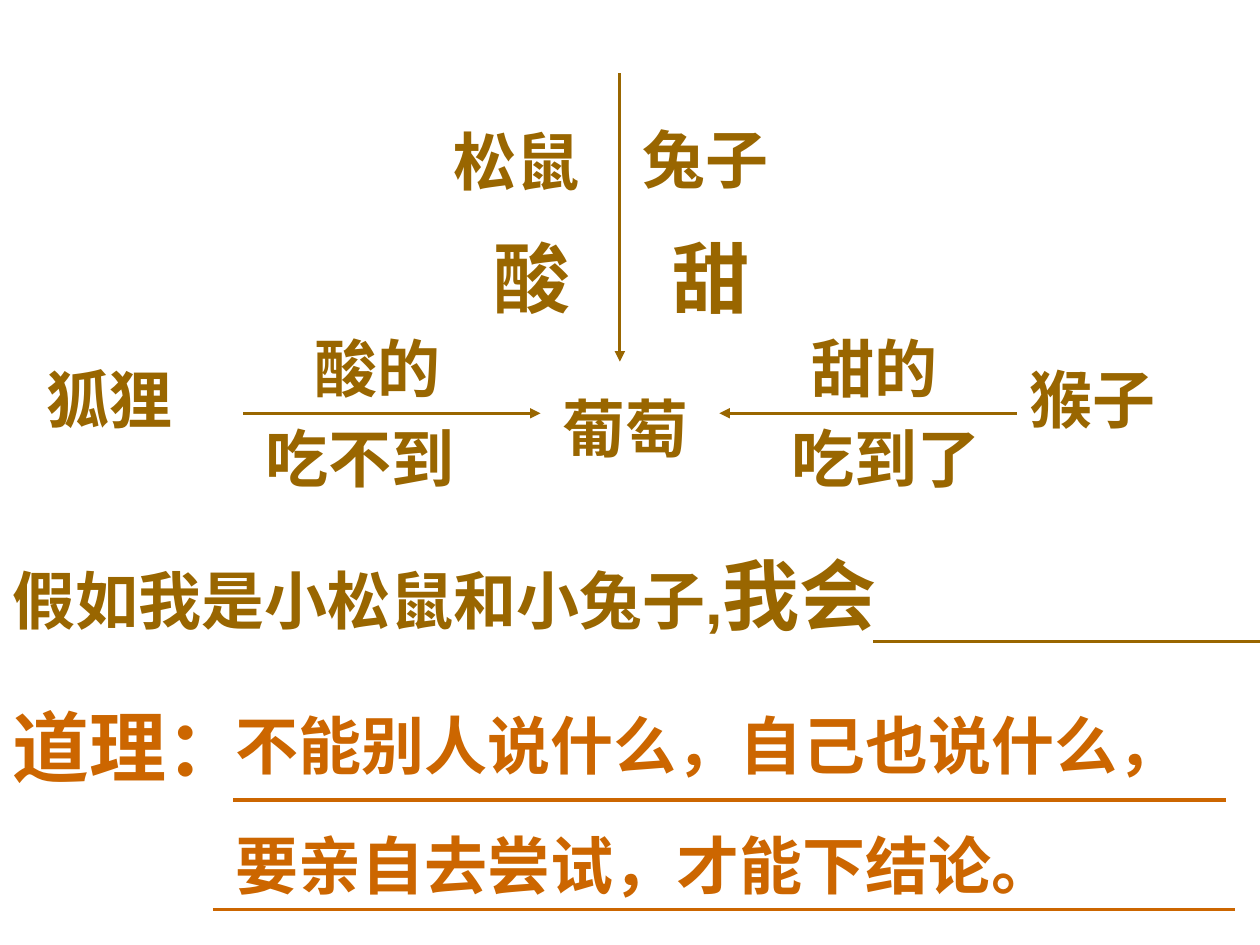
"""Build the grape story diagram slide with its moral."""
from dataclasses import dataclass

import lxml.etree
import pptx
import pptx.dml.color
import pptx.enum.shapes
import pptx.enum.text
import pptx.oxml.ns
import pptx.util

Inches = pptx.util.Inches

COLORS: dict[str, str] = {"story": "996600", "moral": "CC6600"}
NORMAL, LARGE = 36, 44
HEIGHTS: dict[int, float] = {NORMAL: 0.7, LARGE: 0.84}


@dataclass
class Label:
    text: str
    left: float
    top: float
    width: float
    size: int = NORMAL
    color: str = "story"
    ending: str = ""
    wrap: bool = True


@dataclass
class Rule:
    start: tuple[float, float]
    end: tuple[float, float]
    color: str = "story"
    weight: float = 1.75
    arrow: bool = False


ARROW_Y = 3.28
ABOVE_Y = 2.57
ANIMAL_Y = 2.81
MORAL_LEFT = 1.77

LABELS: list[Label] = [
    Label("葡萄", 4.37, 3.04, 1.5),
    Label("狐狸", 0.27, ANIMAL_Y, 1.52),
    Label("酸的", 2.4, ABOVE_Y, 1.26),
    Label("吃不到", 2.01, ARROW_Y, 1.94),
    Label("猴子", 8.07, ANIMAL_Y, 1.42),
    Label("甜的", 6.34, ABOVE_Y, 1.42),
    Label("吃到了", 6.18, ARROW_Y, 1.89),
    Label("松鼠", 3.5, 0.92, 1.6),
    Label("兔子", 5, 0.91, 1.5),
    Label("酸", 3.82, 1.78, 0.71, LARGE),
    Label("甜", 5.24, 1.78, 0.81, LARGE, wrap=False),
    Label("假如我是小松鼠和小兔子,", 0, 4.3, 9.49, ending="我会"),
    Label("道理：", 0, 5.5, 2.16, LARGE, "moral"),
    Label("不能别人说什么，自己也说什么，", MORAL_LEFT, 5.56, 7.87, color="moral"),
    Label("要亲自去尝试，才能下结论。", MORAL_LEFT, 6.51, 7.31, color="moral"),
]

RULES: list[Rule] = [
    Rule((1.93, ARROW_Y), (4.29, ARROW_Y), arrow=True),
    Rule((8.07, ARROW_Y), (5.71, ARROW_Y), arrow=True),
    Rule((4.92, 0.58), (4.92, 2.87), arrow=True),
    Rule((6.93, 5.09), (10, 5.09)),
    Rule((1.85, 6.35), (9.73, 6.35), "moral", 2),
    Rule((1.69, 7.22), (9.8, 7.22), "moral", 2),
]


def rgb(color: str) -> pptx.dml.color.RGBColor:
    """Return the named colour."""
    return pptx.dml.color.RGBColor.from_string(COLORS[color])


def add_run(paragraph, text: str, size: int, color: str) -> None:
    """Add a bold run to a paragraph."""
    run = paragraph.add_run()
    run.text = text
    values = {"name": "Arial", "size": pptx.util.Pt(size), "bold": True}
    for attribute, value in values.items():
        setattr(run.font, attribute, value)
    run.font.color.rgb = rgb(color)


def add_label(slide, label: Label) -> None:
    """Add one text box, with a large ending if it has one."""
    height = HEIGHTS[LARGE if label.ending else label.size]
    shape = slide.shapes.add_textbox(
        Inches(label.left), Inches(label.top), Inches(label.width), Inches(height))
    values = {"word_wrap": label.wrap,
              "auto_size": pptx.enum.text.MSO_AUTO_SIZE.SHAPE_TO_FIT_TEXT}
    for attribute, value in values.items():
        setattr(shape.text_frame, attribute, value)
    paragraph = shape.text_frame.paragraphs[0]
    add_run(paragraph, label.text, label.size, label.color)
    if label.ending:
        add_run(paragraph, label.ending, LARGE, label.color)


def add_rule(slide, rule: Rule) -> None:
    """Add one straight line, with an arrowhead if asked for."""
    connector = slide.shapes.add_connector(
        pptx.enum.shapes.MSO_CONNECTOR.STRAIGHT,
        *map(Inches, rule.start + rule.end))
    connector.line.color.rgb = rgb(rule.color)
    connector.line.width = pptx.util.Pt(rule.weight)
    qn = pptx.oxml.ns.qn
    properties = connector.element.spPr
    if rule.arrow:
        lxml.etree.SubElement(properties.find(qn("a:ln")), qn("a:tailEnd"), type="triangle")
    lxml.etree.SubElement(properties, qn("a:effectLst"))


def main() -> None:
    """Build and save the presentation."""
    presentation = pptx.Presentation()
    presentation.slide_width = Inches(10)
    presentation.slide_height = Inches(7.5)
    slide = presentation.slides.add_slide(presentation.slide_layouts[6])
    for label in LABELS:
        add_label(slide, label)
    for rule in RULES:
        add_rule(slide, rule)
    presentation.save("out.pptx")


if __name__ == "__main__":
    main()
